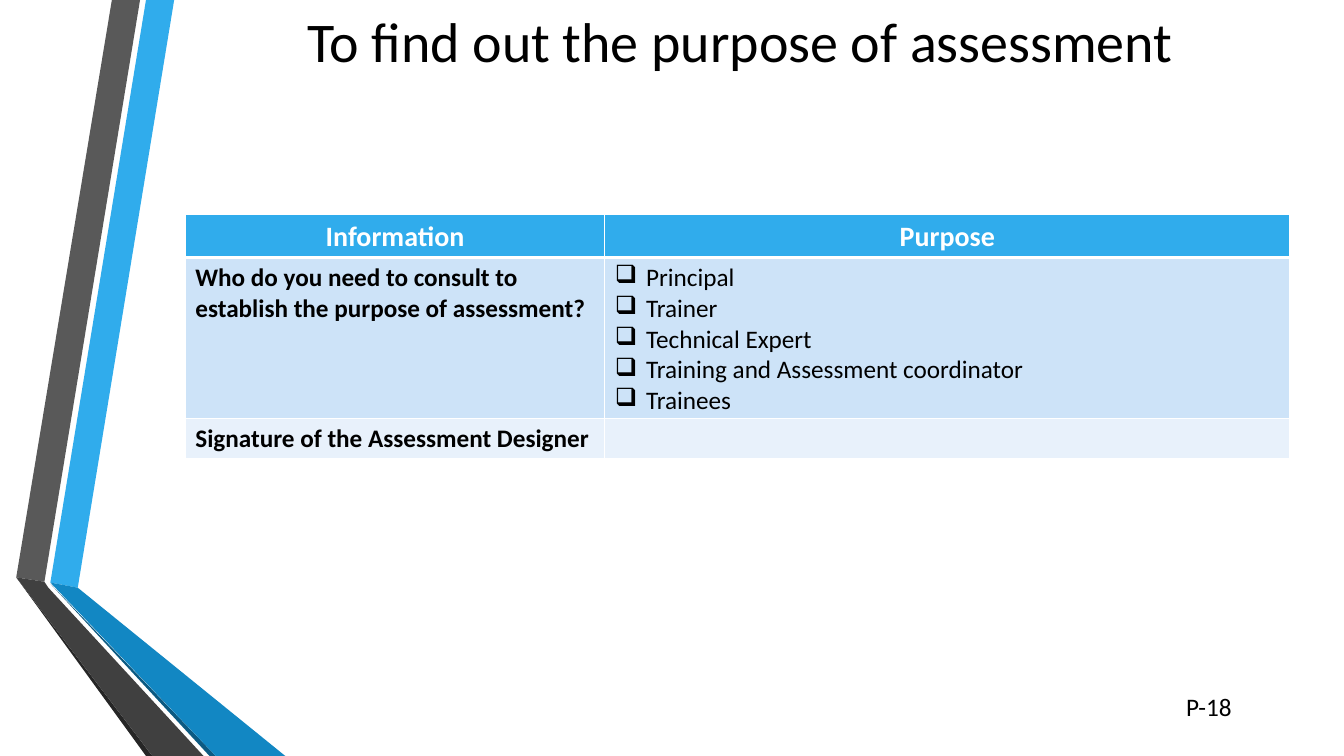
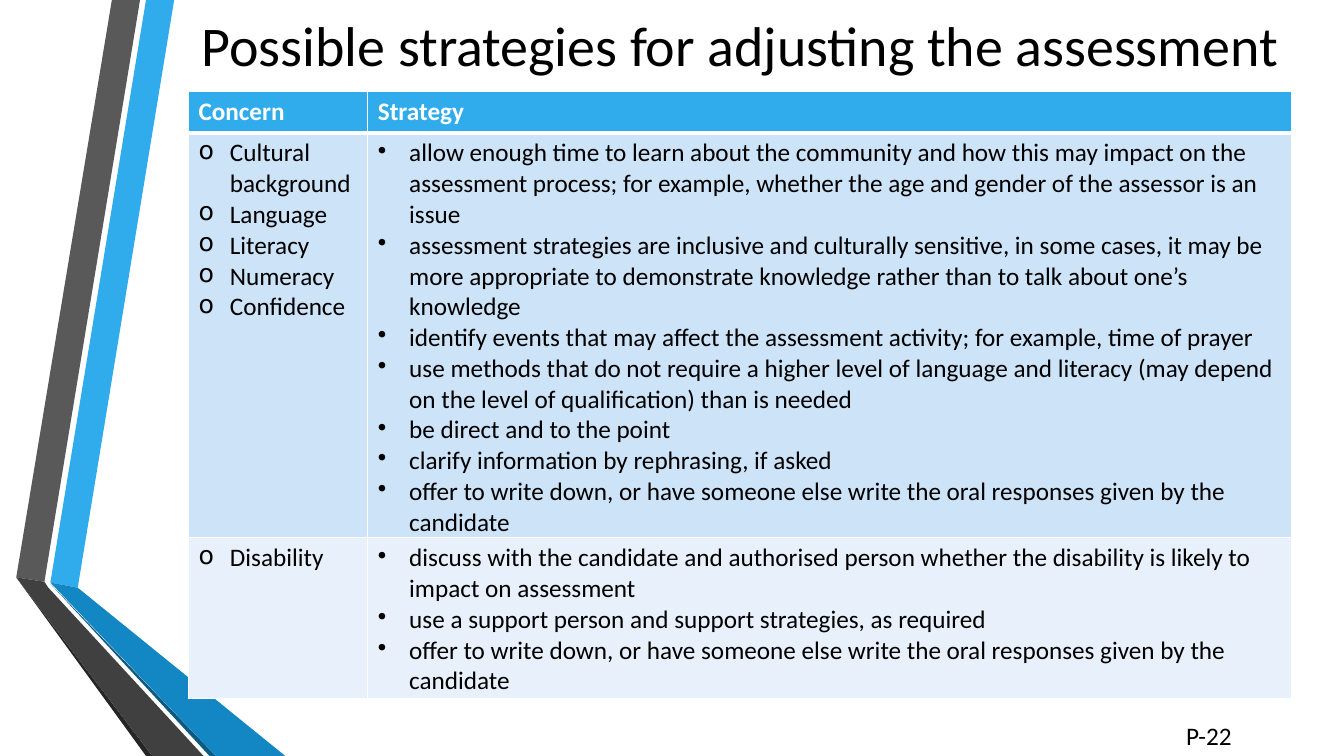
"""Build two assessment slides with a shared ribbon, title style and table style."""
from pptx import Presentation
from pptx.dml.color import RGBColor
from pptx.enum.text import MSO_ANCHOR, MSO_AUTO_SIZE, PP_ALIGN
from pptx.oxml import parse_xml
from pptx.oxml.ns import nsdecls
from pptx.util import Cm, Pt

FONT = "Calibri"
BLACK, WHITE, BLUE = "000000", "FFFFFF", "30ACEC"
ROW_FILLS = [BLUE, "CDE3F8", "E8F1FB"]
RIBBONS = [
    (BLUE, [(1.27, 14.68), (1.96, 14.81), (4.39, 0), (3.68, 0)]),
    ("595959", [(3.53, 0), (2.82, 0), (0.41, 14.55), (1.12, 14.66)]),
    ("262626", [(0.41, 14.55), (3.68, 19.05), (3.84, 19.05)]),
    ("0C5A82", [(1.27, 14.71), (5.28, 19.05), (5.44, 19.05)]),
    ("1287C3", [(1.27, 14.68), (5.44, 19.05), (7.19, 19.05), (1.96, 14.81)]),
    ("404040", [(5.13, 19.05), (1.22, 14.81), (1.12, 14.66), (0.41, 14.55), (3.84, 19.05)]),
]
OFFER = "offer to write down, or have someone else write the oral responses given by the candidate"

PAGES = [
    dict(
        title="To find out the purpose of assessment", title_box=(0.15, 1.73),
        page="P-18", page_top=17.3, origin=(4.67, 5.41),
        widths=[10.57, 17.27], heights=[1.08, 4.06, 1],
        head_size=20, head_align=PP_ALIGN.CENTER, bullets=["", "❑"],
        rows=[
            [["Information"], ["Purpose"]],
            [["Who do you need to consult to establish the purpose of assessment?"],
             ["Principal", "Trainer", "Technical Expert",
              "Training and Assessment coordinator", "Trainees"]],
            [["Signature of the Assessment Designer"], []],
        ],
    ),
    dict(
        title="Possible strategies for adjusting the assessment", title_box=(0.33, 1.55),
        page="P-22", page_top=18.03, origin=(4.75, 2.31),
        widths=[4.52, 23.29], heights=[1.04, 10.2, 4.06],
        head_size=18, head_align=PP_ALIGN.LEFT, bullets=["o", "•"],
        rows=[
            [["Concern"], ["Strategy"]],
            [["Cultural background", "Language", "Literacy", "Numeracy", "Confidence"],
             ["allow enough time to learn about the community and how this may impact on the "
              "assessment process; for example, whether the age and gender of the assessor is an issue",
              "assessment strategies are inclusive and culturally sensitive, in some cases, it may be "
              "more appropriate to demonstrate knowledge rather than to talk about one’s knowledge",
              "identify events that may affect the assessment activity; for example, time of prayer",
              "use methods that do not require a higher level of language and literacy (may depend "
              "on the level of qualification) than is needed",
              "be direct and to the point",
              "clarify information by rephrasing, if asked",
              OFFER]],
            [["Disability"],
             ["discuss with the candidate and authorised person whether the disability is likely to "
              "impact on assessment",
              "use a support person and support strategies, as required",
              OFFER]],
        ],
    ),
]


def rgb(color):
    return RGBColor.from_string(color)


def write(p, text, size=18, color=BLACK, bold=False, align=PP_ALIGN.LEFT, bullet=""):
    p.alignment = align
    r = p.add_run()
    r.text = text
    r.font.name, r.font.size, r.font.bold = FONT, Pt(size), bold
    r.font.color.rgb = rgb(color)
    if bullet:
        pPr = p._p.get_or_add_pPr()
        pPr.set("marL", str(Cm(0.79)))
        pPr.set("indent", str(-Cm(0.79)))
        pPr.append(parse_xml(f'<a:buChar {nsdecls("a")} char="{bullet}"/>'))


prs = Presentation()
prs.slide_width, prs.slide_height = Cm(33.87), Cm(19.05)
layout = prs.slide_layouts[5]
slides = [prs.slides.add_slide(layout) for _ in PAGES]

for color, points in RIBBONS:
    (x, y), *rest = [(Cm(px), Cm(py)) for px, py in points]
    fb = slides[0].shapes.build_freeform(x, y)
    fb.add_line_segments(rest, close=True)
    sp = fb.convert_to_shape()
    sp.shadow.inherit = False
    sp.fill.solid()
    sp.fill.fore_color.rgb = rgb(color)
    sp.line.fill.background()
    layout.placeholders[0].element.addprevious(sp.element)

for s, page in zip(slides, PAGES):
    title = s.shapes.title
    top, height = page["title_box"]
    title.left, title.top, title.width, title.height = Cm(3.45), Cm(top), Cm(30.4), Cm(height)
    tf = title.text_frame
    tf.auto_size, tf.vertical_anchor = MSO_AUTO_SIZE.NONE, MSO_ANCHOR.MIDDLE
    write(tf.paragraphs[0], page["title"], size=40, align=PP_ALIGN.CENTER)

    box = s.shapes.add_textbox(Cm(29.64), Cm(page["page_top"]), Cm(2.87), Cm(1.02))
    box.text_frame.word_wrap = True
    write(box.text_frame.paragraphs[0], page["page"])

    widths, heights = page["widths"], page["heights"]
    left, top = page["origin"]
    table = s.shapes.add_table(len(heights), len(widths), Cm(left), Cm(top),
                               Cm(sum(widths)), Cm(sum(heights))).table
    table.first_row = table.horz_banding = False
    for col, width in zip(table.columns, widths):
        col.width = Cm(width)
    for i, (row, height) in enumerate(zip(table.rows, heights)):
        row.height = Cm(height)
        for j, (cell, lines) in enumerate(zip(row.cells, page["rows"][i])):
            cell.fill.solid()
            cell.fill.fore_color.rgb = rgb(ROW_FILLS[i])
            cell.margin_bottom = 0
            tf = cell.text_frame
            for n, line in enumerate(lines):
                p = tf.add_paragraph() if n else tf.paragraphs[0]
                if i == 0:
                    write(p, line, size=page["head_size"], color=WHITE, bold=True,
                          align=page["head_align"])
                else:
                    bullet = page["bullets"][j]
                    write(p, line, bold=not bullet, bullet=bullet)
            tcPr = cell._tc.get_or_add_tcPr()
            for k, side in enumerate("LRTB"):
                weight = 3 if (i, side) in [(0, "B"), (1, "T")] else 1
                tcPr.insert(k, parse_xml(
                    f'<a:ln{side} {nsdecls("a")} w="{Pt(weight)}"><a:solidFill>'
                    f'<a:srgbClr val="{WHITE}"/></a:solidFill></a:ln{side}>'))

prs.save("out.pptx")
